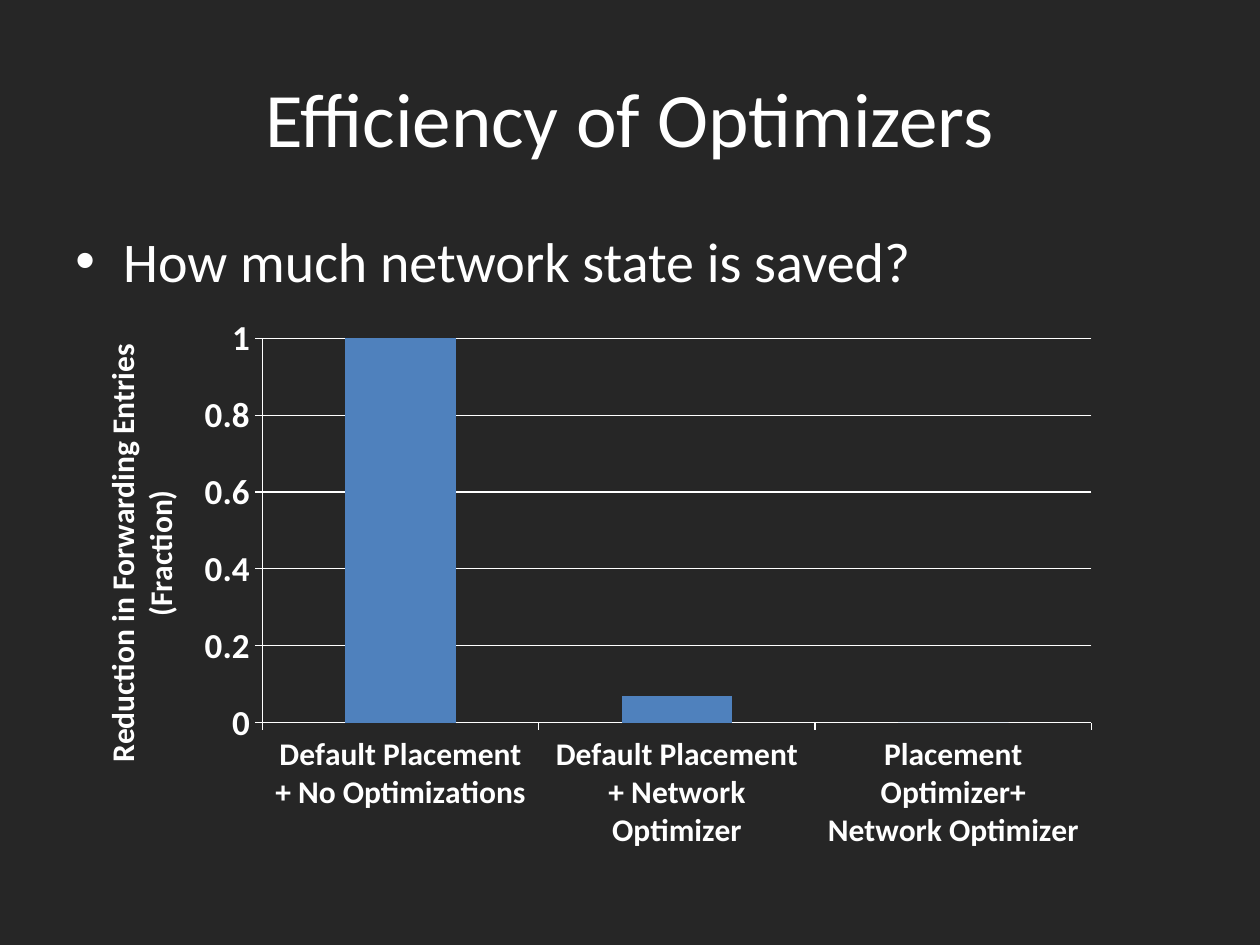
from dataclasses import dataclass

from lxml import etree
from pptx import Presentation
from pptx.chart.data import CategoryChartData
from pptx.dml.color import RGBColor
from pptx.enum.chart import XL_CHART_TYPE, XL_TICK_MARK
from pptx.enum.text import MSO_ANCHOR, PP_ALIGN
from pptx.oxml import parse_xml
from pptx.oxml.ns import nsdecls, qn
from pptx.util import Inches, Pt

COLUMNS = XL_CHART_TYPE.COLUMN_CLUSTERED
TICK_OUTSIDE = XL_TICK_MARK.OUTSIDE
CENTER = PP_ALIGN.CENTER
LEFT = PP_ALIGN.LEFT
MIDDLE = MSO_ANCHOR.MIDDLE
TOP = MSO_ANCHOR.TOP


@dataclass(frozen=True)
class Theme:
    font: str = "Calibri"
    background: RGBColor = RGBColor(0x26, 0x26, 0x26)
    text: RGBColor = RGBColor(0xFF, 0xFF, 0xFF)
    column: RGBColor = RGBColor(0x4F, 0x81, 0xBD)
    title: int = 44
    body: int = 32
    value_label: int = 20
    axis_text: int = 18
    chart: int = 10


THEME = Theme()

SAVINGS = {
    "Default Placement + No Optimizations": 1,
    "Default Placement + Network Optimizer": 0.07,
    "Placement Optimizer+ Network Optimizer": 0,
}


def style_font(font, size, bold=False):
    font.name = THEME.font
    font.size = Pt(size)
    font.bold = bold
    font.color.rgb = THEME.text


def add_text(slide, box, text, size, align, anchor):
    """Add a one-paragraph text box and return its paragraph."""
    frame = slide.shapes.add_textbox(*map(Inches, box)).text_frame
    frame.word_wrap = True
    frame.vertical_anchor = anchor
    paragraph = frame.paragraphs[0]
    paragraph.alignment = align
    run = paragraph.add_run()
    run.text = text
    style_font(run.font, size)
    return paragraph


def add_title(slide, box):
    add_text(slide, box, "Efficiency of Optimizers", THEME.title, CENTER, MIDDLE)


def add_question(slide, box):
    question = add_text(slide, box, "How much network state is saved?",
                        THEME.body, LEFT, TOP)
    question.space_before = Pt(0.2 * THEME.body)
    indent = Inches(0.38)
    properties = question._p.get_or_add_pPr()
    properties.set("marL", str(indent))
    properties.set("indent", str(-indent))
    properties.append(parse_xml(f'<a:buFont {nsdecls("a")} typeface="Arial"/>'))
    properties.append(parse_xml(f'<a:buChar {nsdecls("a")} char="•"/>'))


def set_layout(parent, index, **settings):
    """Give a chart part a manual layout, in fractions of the chart."""
    layout = parent.find(qn("c:layout"))
    if layout is None:
        layout = etree.Element(qn("c:layout"))
        parent.insert(index, layout)
    manual = etree.SubElement(layout, qn("c:manualLayout"))
    for key, value in settings.items():
        etree.SubElement(manual, qn(f"c:{key}")).set("val", str(value))


def style_axis(axis, label_size):
    axis.major_tick_mark = TICK_OUTSIDE
    style_font(axis.tick_labels.font, label_size, bold=True)
    axis.format.line.color.rgb = THEME.text
    axis.format.line.width = Pt(0.75)


def add_savings_chart(slide, box):
    data = CategoryChartData()
    data.categories = list(SAVINGS)
    data.add_series("Series 1", list(SAVINGS.values()))
    chart = slide.shapes.add_chart(COLUMNS, *map(Inches, box), data).chart
    chart.has_legend = False
    chart.has_title = False
    style_font(chart.font, THEME.chart)

    plot = chart.plots[0]
    plot.gap_width = 150
    plot.vary_by_categories = False
    columns = plot.series[0].format.fill
    columns.solid()
    columns.fore_color.rgb = THEME.column

    style_axis(chart.category_axis, THEME.axis_text)
    values = chart.value_axis
    style_axis(values, THEME.value_label)
    values.minimum_scale, values.maximum_scale = 0, 1
    values.major_unit = 0.2
    values.tick_labels.number_format = "General"
    values.tick_labels.number_format_is_linked = False
    values.has_major_gridlines = True
    gridline = values.major_gridlines.format.line
    gridline.color.rgb = THEME.text
    gridline.width = Pt(0.75)

    caption = values.axis_title.text_frame.paragraphs[0].add_run()
    caption.text = "Reduction in Forwarding Entries (Fraction)"
    style_font(caption.font, THEME.axis_text, bold=True)

    set_layout(chart.element.xpath(".//c:plotArea")[0], 0,
               layoutTarget="inner", xMode="edge", yMode="edge",
               x=0.19, y=0.06, w=0.79, h=0.69)
    set_layout(chart.element.xpath(".//c:valAx/c:title")[0], 1,
               xMode="edge", yMode="edge", x=0.03, y=0.06)


def main():
    deck = Presentation()
    deck.slide_width, deck.slide_height = Inches(10), Inches(7.5)
    slide = deck.slides.add_slide(deck.slide_layouts[6])
    background = slide.background.fill
    background.solid()
    background.fore_color.rgb = THEME.background

    add_title(slide, (0.5, 0.3, 9, 1.25))
    add_question(slide, (0.5, 1.75, 9, 4.95))
    add_savings_chart(slide, (0.5, 2.42, 8.33, 4.42))
    deck.save("out.pptx")


if __name__ == "__main__":
    main()
